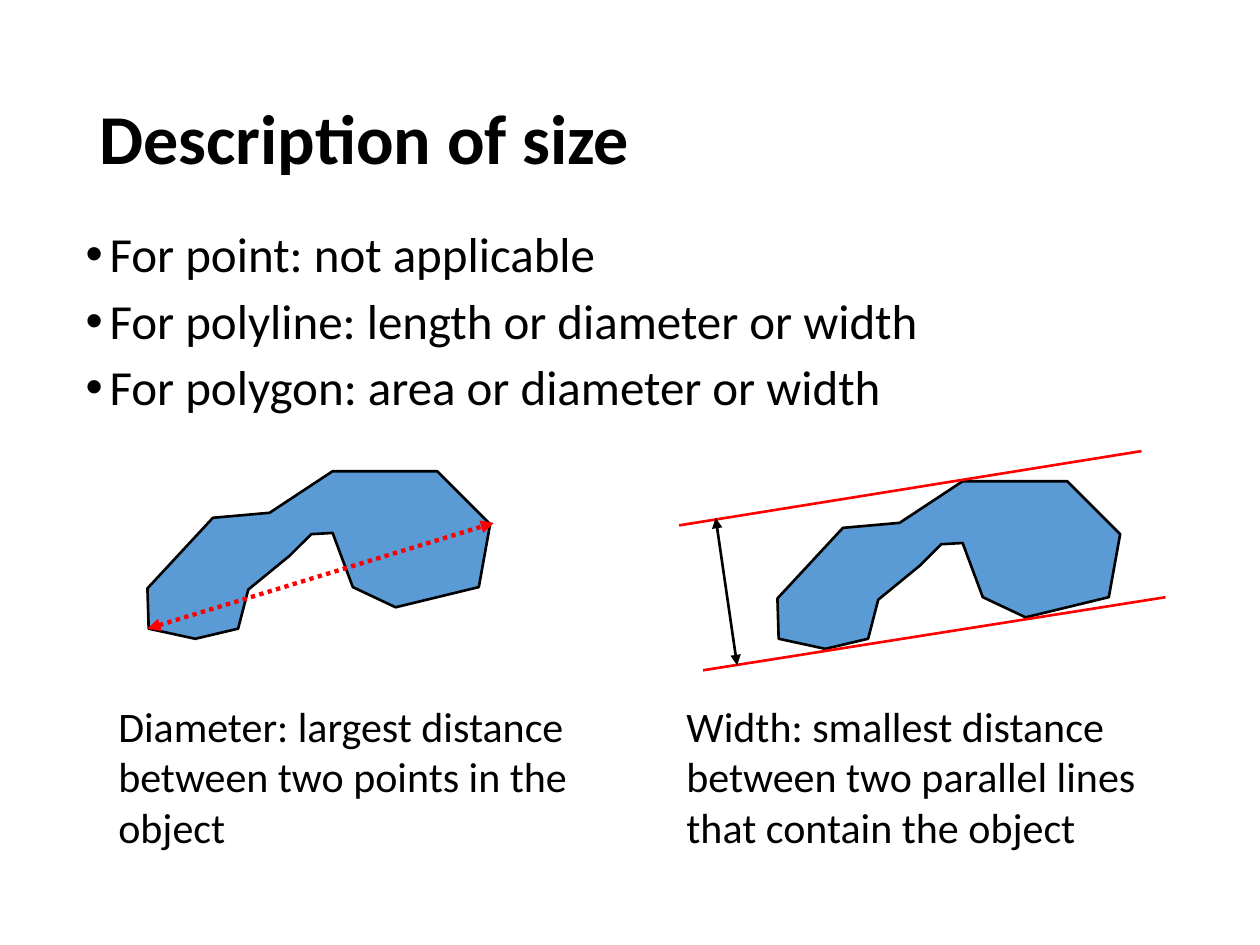
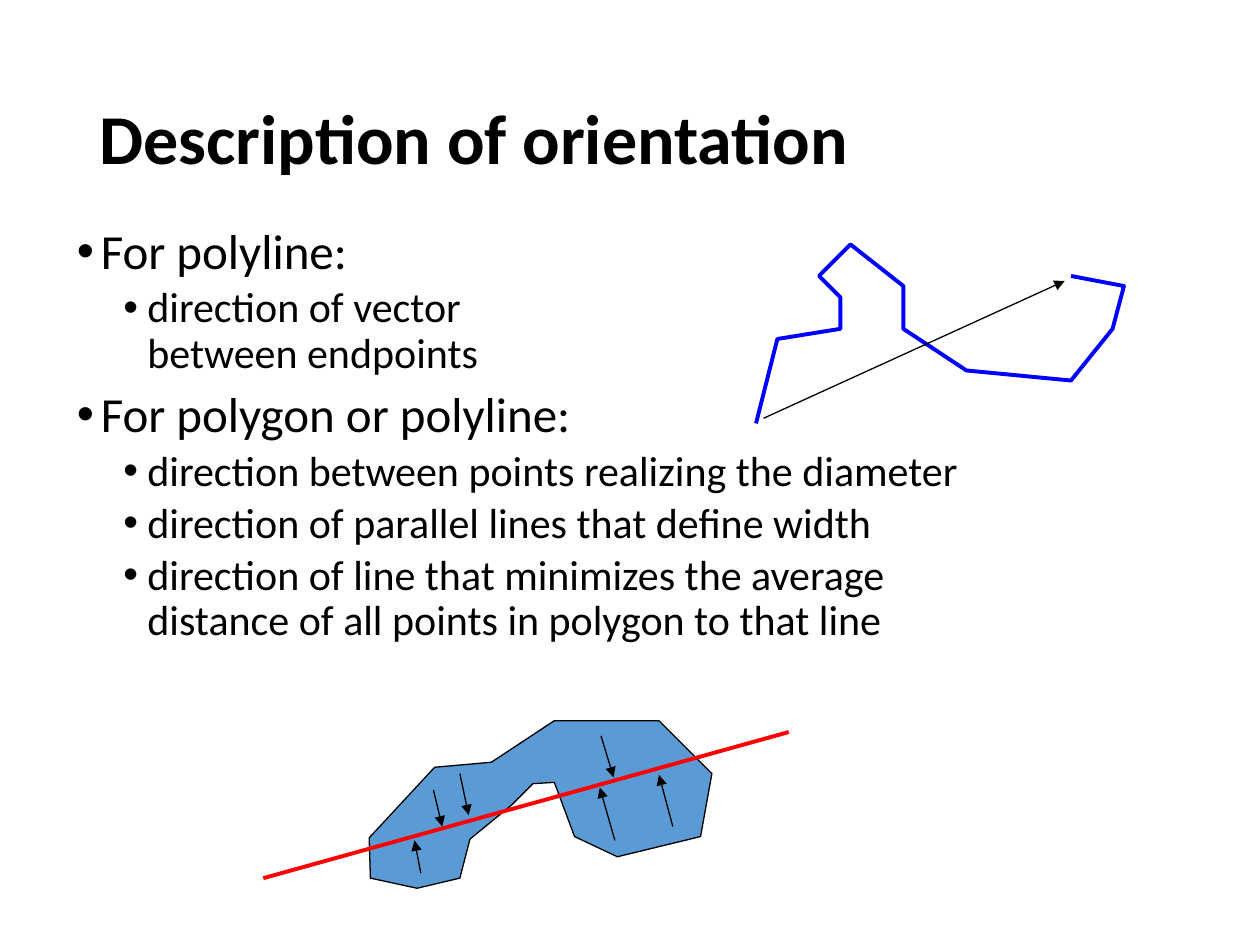
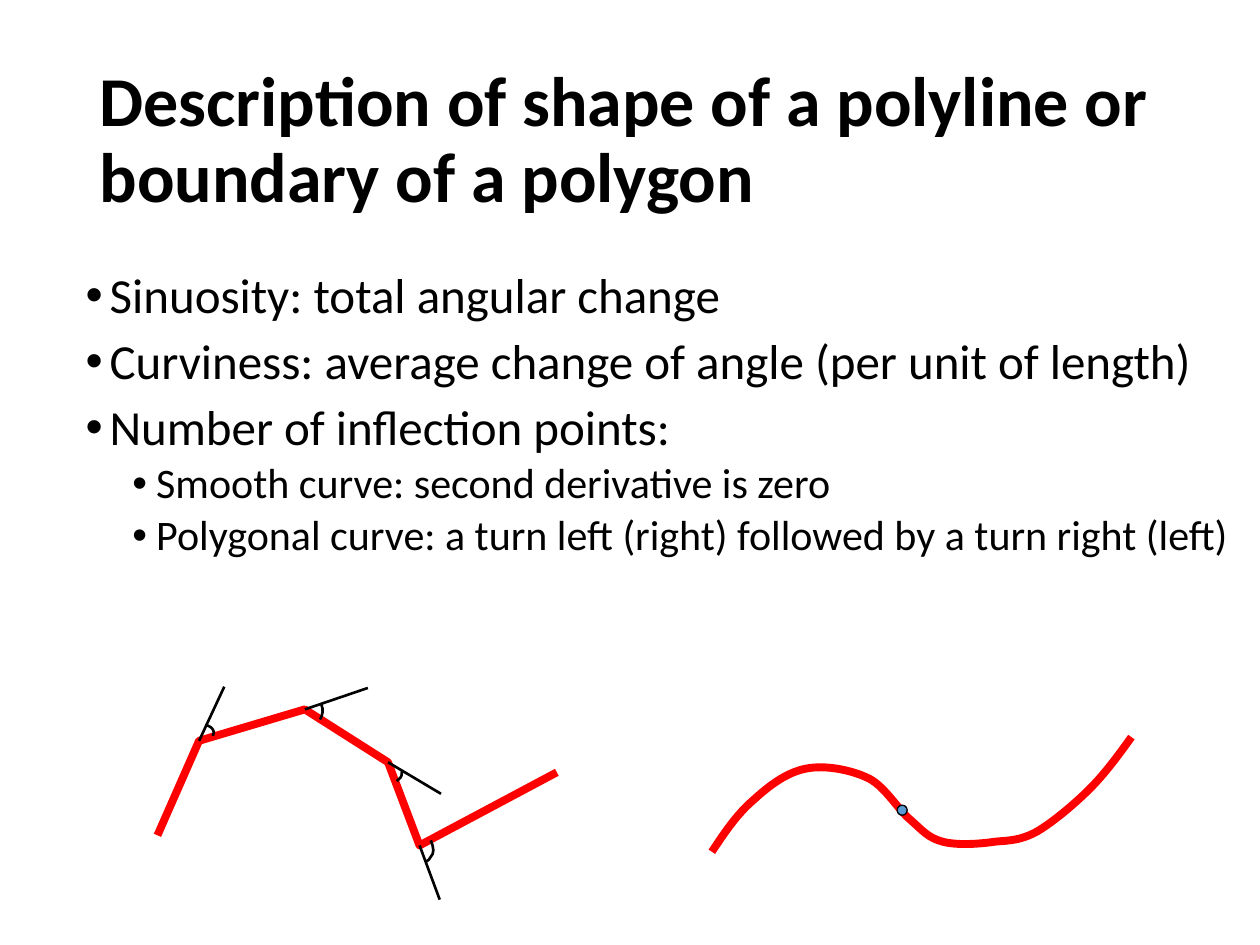
from copy import deepcopy
from dataclasses import dataclass
from typing import Any, NamedTuple

from lxml import etree
from pptx import Presentation
from pptx.dml.color import RGBColor
from pptx.enum.dml import MSO_LINE
from pptx.enum.shapes import MSO_CONNECTOR, MSO_SHAPE
from pptx.enum.text import MSO_ANCHOR, MSO_AUTO_SIZE, PP_ALIGN
from pptx.oxml.ns import qn
from pptx.util import Pt

STRAIGHT = MSO_CONNECTOR.STRAIGHT
ELLIPSE = MSO_SHAPE.OVAL
DOTTED = MSO_LINE.ROUND_DOT
MIDDLE = MSO_ANCHOR.MIDDLE
LEFT = PP_ALIGN.LEFT
FIXED, GROW = MSO_AUTO_SIZE.NONE, MSO_AUTO_SIZE.SHAPE_TO_FIT_TEXT

PX = 9144  # EMU per px, 100 px to the inch
TITLE_AND_CONTENT = 1


@dataclass(frozen=True)
class Theme:
    font: str = "Calibri"
    black: RGBColor = RGBColor(0, 0, 0)
    red: RGBColor = RGBColor(0xFF, 0, 0)
    blue: RGBColor = RGBColor(0, 0, 0xFF)
    region: RGBColor = RGBColor(0x5B, 0x9B, 0xD5)
    title_size: float = 40
    item_sizes: tuple[float, float] = (28, 24)
    caption_size: float = 24
    thin: float = 0.75
    medium: float = 1.5
    strong: float = 2.25
    dotted: float = 2.5
    heavy: float = 4.5


THEME = Theme()
Point = tuple[int, int]


class Box(NamedTuple):
    left: int
    top: int
    width: int
    height: int


class Item(NamedTuple):
    text: str
    level: int = 0


class Segment(NamedTuple):
    start: Point
    end: Point
    color: RGBColor = THEME.black
    width: float = THEME.thin
    head: bool = False
    tail: bool = False
    dotted: bool = False


class Outline(NamedTuple):
    points: list[Point]
    color: RGBColor
    width: float
    closed: bool = False
    curved: bool = False  # points after the first are cubic control triples


TITLE_BOX = Box(69, 40, 862, 145)
ITEM_INDENTS = (19, 56)
ITEM_GAPS = (7.5, 3.8)
BULLET_HANG = 19

# The bent region, relative to its top left corner
REGION = [(0, 93), (52, 37), (97, 33), (147, 0), (230, 0), (272, 42),
          (263, 92), (197, 108), (163, 92), (147, 49), (130, 50), (113, 67),
          (80, 94), (72, 125), (38, 133), (1, 125)]


def apply(target: Any, values: dict[str, Any]) -> None:
    for name, value in values.items():
        setattr(target, name, value)


def place(box: Box) -> dict[str, int]:
    return {name: length * PX for name, length in box._asdict().items()}


# Text

def style_runs(paragraph: Any, size: float, bold: bool = False) -> None:
    for run in paragraph.runs:
        apply(run.font, {"name": THEME.font, "size": Pt(size), "bold": bold})
        run.font.color.rgb = THEME.black
    for line_break in paragraph._p.findall(qn("a:br")):
        line_break.insert(0, deepcopy(paragraph.runs[0]._r.rPr))


def add_bullet(paragraph: Any, level: int) -> None:
    properties = paragraph._p.get_or_add_pPr()
    properties.set("marL", str(ITEM_INDENTS[level] * PX))
    properties.set("indent", str(-BULLET_HANG * PX))
    etree.SubElement(properties, qn("a:buFont"), typeface="Arial")
    etree.SubElement(properties, qn("a:buChar"), char="•")


def fill_title(slide: Any, text: str) -> None:
    title = slide.shapes.title
    apply(title, place(TITLE_BOX))
    apply(title.text_frame, {"text": text, "vertical_anchor": MIDDLE,
                             "auto_size": FIXED, "word_wrap": True})
    heading = title.text_frame.paragraphs[0]
    apply(heading, {"alignment": LEFT, "line_spacing": 0.9})
    style_runs(heading, THEME.title_size, bold=True)


def fill_list(slide: Any, box: Box, items: list[Item]) -> None:
    body = slide.placeholders[1]
    apply(body, place(box))
    frame = body.text_frame
    apply(frame, {"auto_size": FIXED, "word_wrap": True})
    for index, item in enumerate(items):
        paragraph = frame.add_paragraph() if index else frame.paragraphs[0]
        gap = ITEM_GAPS[item.level] if index else 0
        apply(paragraph, {"text": item.text, "level": item.level,
                          "line_spacing": 0.9, "space_before": Pt(gap)})
        add_bullet(paragraph, item.level)
        style_runs(paragraph, THEME.item_sizes[item.level])


def add_caption(slide: Any, box: Box, text: str) -> None:
    caption = slide.shapes.add_textbox(*place(box).values())
    apply(caption.text_frame, {"text": text, "word_wrap": True,
                               "auto_size": GROW})
    style_runs(caption.text_frame.paragraphs[0], THEME.caption_size)


# Drawing

def style_line(line: Any, color: RGBColor, width: float) -> None:
    line.color.rgb = color
    line.width = Pt(width)


def fill_region(shape: Any) -> None:
    shape.fill.solid()
    shape.fill.fore_color.rgb = THEME.region


def draw_segment(slide: Any, segment: Segment) -> None:
    ends = [length * PX for length in (*segment.start, *segment.end)]
    connector = slide.shapes.add_connector(STRAIGHT, *ends)
    style_line(connector.line, segment.color, segment.width)
    if segment.dotted:
        connector.line.dash_style = DOTTED
    stroke = connector.line._get_or_add_ln()
    for tag, wanted in (("a:headEnd", segment.head), ("a:tailEnd", segment.tail)):
        if wanted:
            etree.SubElement(stroke, qn(tag), type="triangle")
    etree.SubElement(connector._element.spPr, qn("a:effectLst"))


def bend(shape: Any) -> None:
    """Turn each three straight steps into one cubic curve."""
    steps = list(shape._element.iter(qn("a:lnTo")))
    for first in range(0, len(steps), 3):
        triple = steps[first:first + 3]
        curve = etree.Element(qn("a:cubicBezTo"))
        triple[0].addprevious(curve)
        for step in triple:
            curve.append(step[0])
            step.getparent().remove(step)


def draw_outline(slide: Any, outline: Outline) -> None:
    builder = slide.shapes.build_freeform(*outline.points[0], scale=PX)
    builder.add_line_segments(outline.points[1:], close=outline.closed)
    shape = builder.convert_to_shape()
    shape.shadow.inherit = False
    if outline.closed:
        fill_region(shape)
    else:
        shape.fill.background()
    if outline.curved:
        bend(shape)
    style_line(shape.line, outline.color, outline.width)


def draw_region(slide: Any, left: int, top: int, width: float) -> None:
    points = [(left + x, top + y) for x, y in REGION]
    draw_outline(slide, Outline(points, THEME.black, width, closed=True))


def draw_dot(slide: Any, box: Box) -> None:
    dot = slide.shapes.add_shape(ELLIPSE, *place(box).values())
    dot.shadow.inherit = False
    fill_region(dot)
    style_line(dot.line, THEME.black, THEME.thin)


# Slides

def start_slide(deck: Any, title: str, box: Box, items: list[Item]) -> Any:
    slide = deck.slides.add_slide(deck.slide_layouts[TITLE_AND_CONTENT])
    fill_title(slide, title)
    fill_list(slide, box, items)
    return slide


def build_size(deck: Any) -> None:
    slide = start_slide(deck, "Description of size", Box(58, 178, 883, 170), [
        Item("For point: not applicable"),
        Item("For polyline: length or diameter or width"),
        Item("For polygon: area or diameter or width"),
    ])
    # Diameter
    draw_region(slide, 117, 374, THEME.medium)
    draw_segment(slide, Segment((117, 499), (392, 415), THEME.red, THEME.dotted,
                                head=True, tail=True, dotted=True))
    add_caption(slide, Box(84, 551, 408, 131),
                "Diameter: largest distance between two points in the object")
    # Width
    draw_region(slide, 617, 382, THEME.medium)
    add_caption(slide, Box(535, 551, 414, 131),
                "Width: smallest distance between two parallel lines "
                "that contain the object")
    for start, end in (((925, 474), (558, 532)), ((906, 358), (539, 417))):
        draw_segment(slide, Segment(start, end, THEME.red, THEME.medium))
    draw_segment(slide, Segment((568, 411), (585, 528), width=THEME.medium,
                                head=True, tail=True))


def build_orientation(deck: Any) -> None:
    slide = start_slide(deck, "Description of orientation", Box(51, 175, 883, 342), [
        Item("For polyline:"),
        Item("direction of vector\nbetween endpoints", 1),
        Item("For polygon or polyline:"),
        Item("direction between points realizing the diameter", 1),
        Item("direction of parallel lines that define width", 1),
        Item("direction of line that minimizes the average\n"
             "distance of all points in polygon to that line", 1),
    ])
    # Region with its best fitting line
    draw_region(slide, 293, 572, THEME.thin)
    draw_segment(slide, Segment((209, 697), (626, 581), THEME.red, THEME.strong))
    distances = [((534, 656), (523, 615)), ((477, 584), (487, 617)),
                 ((365, 614), (372, 647)), ((344, 627), (351, 656)),
                 ((334, 693), (329, 667)), ((488, 667), (476, 625))]
    # Polyline with the vector between its endpoints
    polyline = [(600, 336), (617, 269), (667, 261), (667, 236), (650, 219),
                (675, 194), (717, 227), (717, 261), (767, 294), (850, 302),
                (883, 261), (892, 227), (850, 219)]
    draw_outline(slide, Outline(polyline, THEME.blue, THEME.strong))
    vector = ((606, 332), (845, 223))
    for start, end in (*distances, vector):
        draw_segment(slide, Segment(start, end, tail=True))


def build_shape(deck: Any) -> None:
    slide = start_slide(
        deck, "Description of shape of a polyline or boundary of a polygon",
        Box(58, 210, 931, 333), [
            Item("Sinuosity: total angular change"),
            Item("Curviness: average change of angle (per unit of length)"),
            Item("Number of inflection points:"),
            Item("Smooth curve: second derivative is zero", 1),
            Item("Polygonal curve: a turn left (right) followed by "
                 "a turn right (left)", 1),
        ])
    # Smooth curve with its inflection point
    smooth = [(565, 676), (575, 661), (585, 646), (598, 635),
              (610, 624), (624, 613), (640, 610), (655, 607), (676, 611), (690, 618),
              (703, 625), (713, 643), (723, 651), (733, 660), (737, 665), (748, 668),
              (759, 671), (777, 670), (790, 668), (802, 667), (810, 667), (823, 660),
              (835, 653), (852, 639), (865, 626), (877, 614), (888, 599), (898, 585)]
    draw_outline(slide, Outline(smooth, THEME.red, THEME.heavy, curved=True))
    draw_dot(slide, Box(712, 639, 8, 8))
    # Polygonal curve with the angle at each turn
    turns = [(158, 588), (242, 563), (308, 605), (333, 671)]
    polygonal = [(125, 663), *turns, (442, 613)]
    draw_outline(slide, Outline(polygonal, THEME.red, THEME.heavy))
    extensions = [(178, 545), (292, 546), (350, 630), (349, 714)]
    for turn, extension in zip(turns, extensions):
        draw_segment(slide, Segment(turn, extension, width=THEME.medium))
    arcs = [
        [(163, 575), (165, 576), (168, 577), (169, 579),
         (170, 580), (170, 582), (169, 584)],
        [(255, 559), (256, 561), (256, 563), (256, 565),
         (256, 567), (255, 569), (254, 571)],
        [(319, 611), (319, 613), (319, 616), (318, 617),
         (317, 619), (316, 619), (315, 620)],
        [(342, 667), (343, 670), (344, 672), (344, 675), (344, 677),
         (343, 679), (342, 680), (341, 682), (340, 683), (338, 684)],
    ]
    for arc in arcs:
        draw_outline(slide, Outline(arc, THEME.black, THEME.medium, curved=True))


def main() -> None:
    deck = Presentation()
    apply(deck, {"slide_width": 1000 * PX, "slide_height": 750 * PX})
    for build in (build_size, build_orientation, build_shape):
        build(deck)
    deck.save("out.pptx")


if __name__ == "__main__":
    main()
